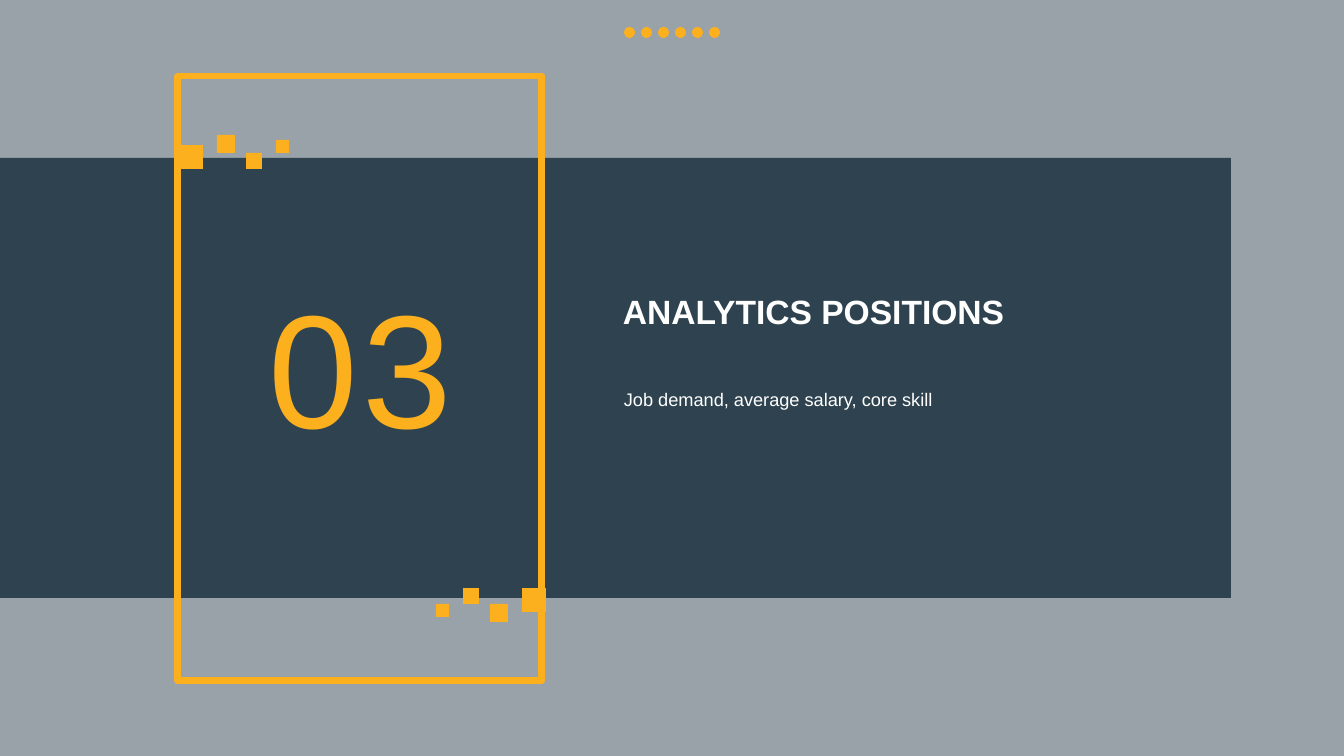
from pptx import Presentation
from pptx import util as u
from pptx.dml.color import RGBColor
from pptx.enum import shapes, text
from pptx.oxml import parse_xml
from pptx.oxml.ns import nsdecls

EMU_PER_PX = 914400 / 100.8
COLORS = {
    "backdrop": "324652",
    "band": "293E4B",
    "accent": "FDB01E",
    "white": "FFFFFF",
}


def px(length):
    return u.Emu(round(length * EMU_PER_PX))


def format_run(run, size, color, bold=False, spacing=0):
    run.font.name = "Arial"
    run.font.size = u.Pt(size)
    run.font.bold = bold
    run.font.color.rgb = RGBColor.from_string(COLORS[color])
    if spacing:
        run.font._element.set("spc", str(spacing * 100))


class SlideBuilder:
    def __init__(self, presentation):
        self.slide = presentation.slides.add_slide(presentation.slide_layouts[6])

    def shape(self, left, top, width, height, fill=None, alpha=100,
              line=None, line_width=1, kind=shapes.MSO_SHAPE.RECTANGLE):
        shape = self.slide.shapes.add_shape(
            kind, px(left), px(top), px(width), px(height))
        shape.shadow.inherit = False
        if fill:
            shape.fill.solid()
            shape.fill.fore_color.rgb = RGBColor.from_string(COLORS[fill])
            if alpha < 100:
                color = shape.fill._xPr.find(".//{*}srgbClr")
                color.append(parse_xml(
                    f'<a:alpha {nsdecls("a")} val="{alpha * 1000}"/>'))
        else:
            shape.fill.background()
        if line:
            shape.line.color.rgb = RGBColor.from_string(COLORS[line])
            shape.line.width = u.Pt(line_width)
        else:
            shape.line.fill.background()

    def text(self, words, left, top, width, height,
             anchor=text.MSO_ANCHOR.BOTTOM, line_spacing=1.0, **style):
        box = self.slide.shapes.add_textbox(
            px(left), px(top), px(width), px(height))
        frame = box.text_frame
        frame.word_wrap = True
        frame.vertical_anchor = anchor
        paragraph = frame.paragraphs[0]
        paragraph.line_spacing = line_spacing
        run = paragraph.add_run()
        run.text = words
        format_run(run, **style)


def main():
    presentation = Presentation()
    presentation.slide_width = px(1344)
    presentation.slide_height = px(756)
    builder = SlideBuilder(presentation)

    # Background and dark band
    builder.shape(0, 0, 1344, 756, fill="backdrop", alpha=50)
    builder.shape(0, 158, 1231, 440, fill="band", alpha=95)

    # Row of dots
    for index in range(6):
        builder.shape(624 + 17 * index, 27, 11, 11, fill="accent",
                      kind=shapes.MSO_SHAPE.OVAL)

    # Section number in its frame
    builder.text("03", 259, 260, 233, 206, size=115, color="accent", spacing=3)
    builder.shape(178, 76, 364, 605, line="accent", line_width=5)

    # Corner squares, each with its twin turned by half a circle
    turn_x, turn_y = 725, 757
    for left, top, side in [(490, 604, 18), (522, 588, 24),
                            (463, 588, 16), (436, 604, 13)]:
        builder.shape(left, top, side, side, fill="accent")
        builder.shape(turn_x - left - side, turn_y - top - side, side, side,
                      fill="accent")

    # Title and subtitle
    builder.text("ANALYTICS POSITIONS", 613, 286, 436, 50,
                 size=24, color="white", bold=True)
    builder.text("Job demand, average salary, core skill", 614, 379, 545, 34,
                 anchor=text.MSO_ANCHOR.TOP, line_spacing=1.2,
                 size=13, color="white")

    presentation.save("out.pptx")


if __name__ == "__main__":
    main()
